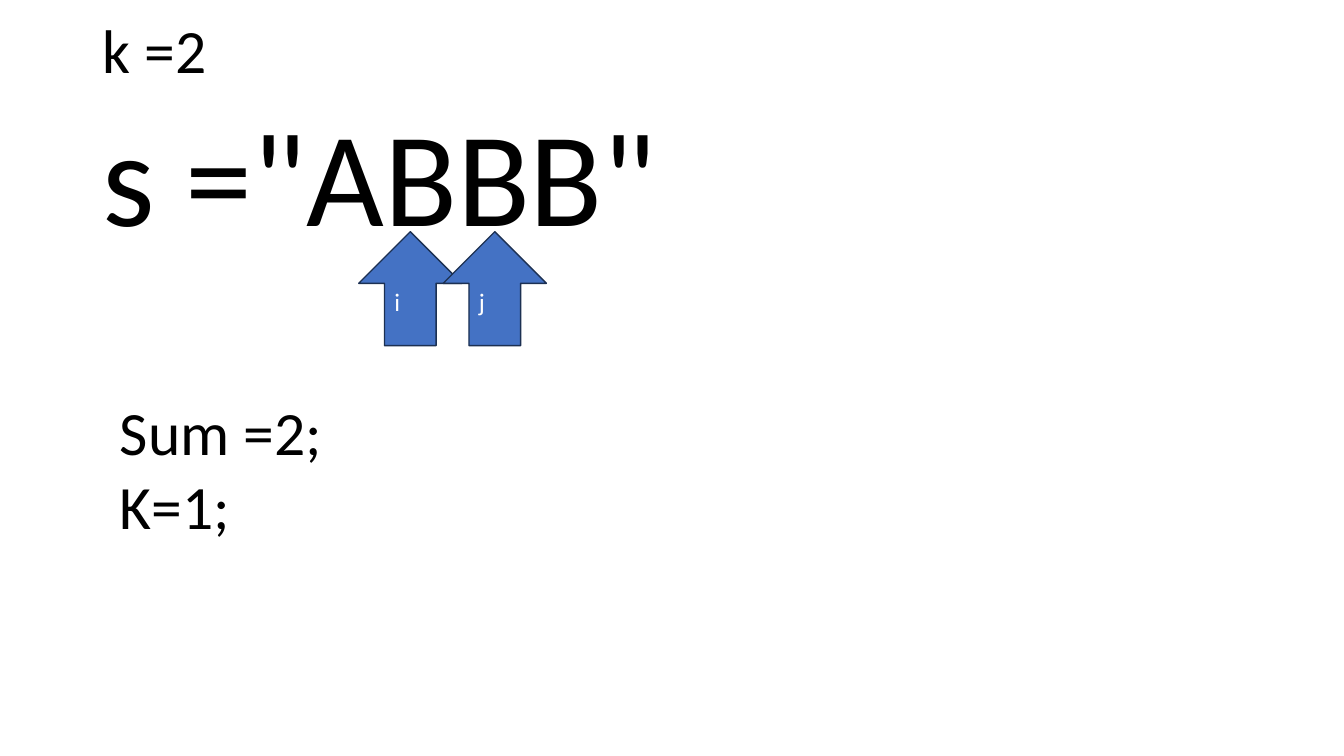
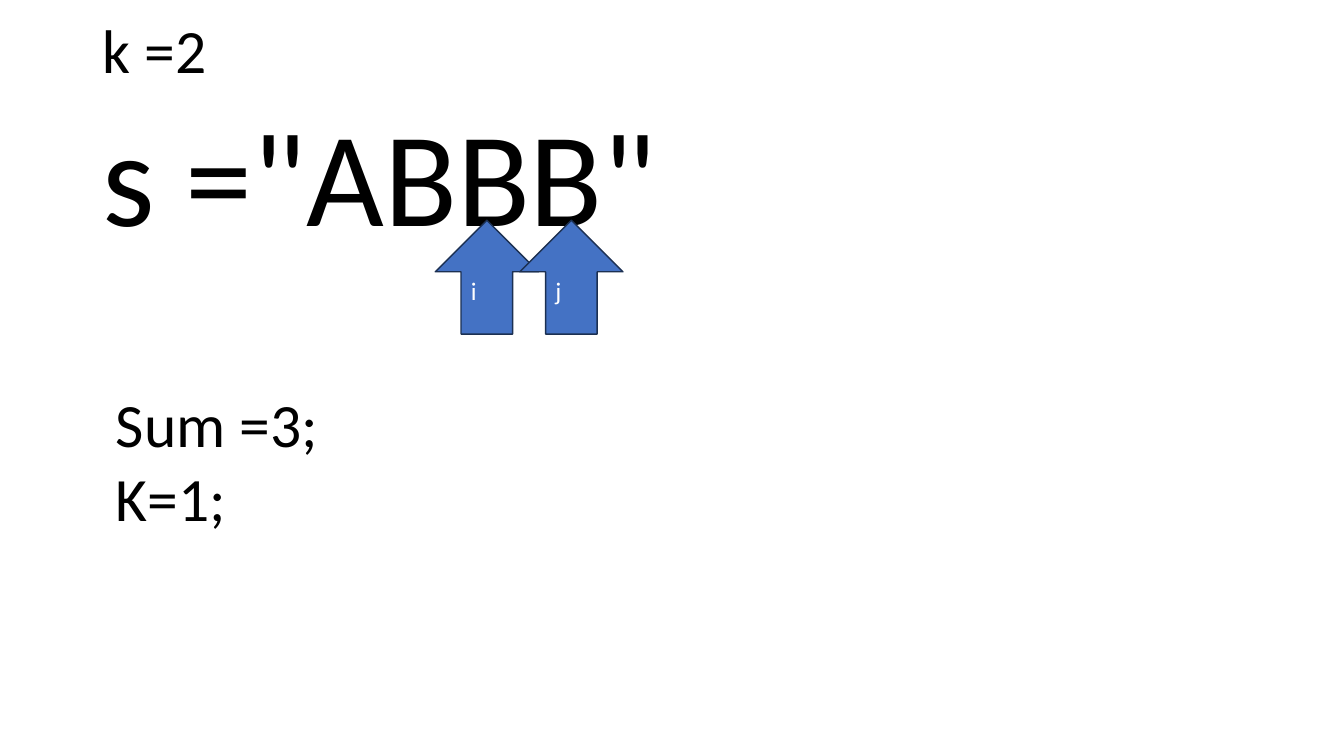
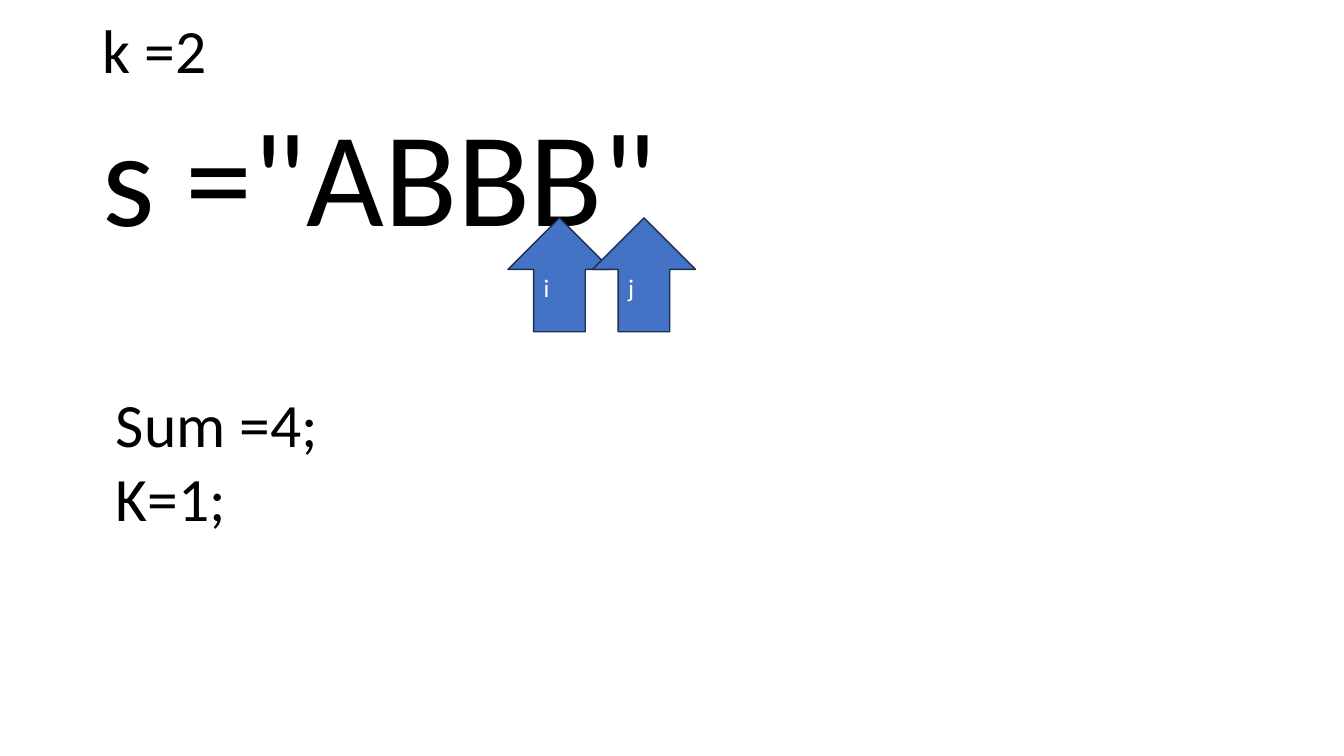
import pptx
import pptx.util
import pptx.dml.color
import pptx.enum.shapes
import pptx.enum.text

Cm = pptx.util.Cm
Pt = pptx.util.Pt
ANCHOR = pptx.enum.text.MSO_ANCHOR
FIT = pptx.enum.text.MSO_AUTO_SIZE
FONT = "Calibri"
COLORS = {"ink": "000000", "arrow": "4472C4", "edge": "1C3052", "label": "FFFFFF"}
HEAD = (2.34, 0.23, 29.21, 2.26)
WORD = (2.34, 2.67, 29.21, 4.04)
STEPS = [
    {"arrows": (9.04, 5.84), "state": (2.77, 9.8), "sum": 2},
    {"arrows": (10.97, 5.55), "state": (2.67, 9.6), "sum": 3},
    {"arrows": (12.8, 5.49), "state": (2.67, 9.6), "sum": 4},
]


def tint(name):
    return pptx.dml.color.RGBColor.from_string(COLORS[name])


def style(frame, size, color, space=None):
    for para in frame.paragraphs:
        if space:
            para.line_spacing = space
        for run in para.runs:
            run.font.name = FONT
            run.font.size = Pt(size)
            run.font.color.rgb = tint(color)


def add_text(slide, box, text, size, space=None, anchor=ANCHOR.TOP, fit=FIT.NONE):
    frame = slide.shapes.add_textbox(*map(Cm, box)).text_frame
    frame.word_wrap = True
    frame.auto_size = fit
    frame.vertical_anchor = anchor
    frame.text = text
    style(frame, size, "ink", space)


def add_arrows(slide, left, top, width=2.6, height=2.87, pitch=2.13):
    kind = pptx.enum.shapes.MSO_SHAPE.UP_ARROW
    for spot, label in enumerate("ij"):
        box = (left + spot * pitch, top, width, height)
        arrow = slide.shapes.add_shape(kind, *map(Cm, box))
        arrow.shadow.inherit = False
        arrow.fill.solid()
        arrow.fill.fore_color.rgb = tint("arrow")
        arrow.line.color.rgb = tint("edge")
        arrow.line.width = Pt(1)
        arrow.text_frame.text = label
        style(arrow.text_frame, 18, "label")


def add_state(slide, left, top, total):
    box = (left, top, 11.33, 4.01)
    add_text(slide, box, f"Sum ={total};\nK=1;", 44, fit=FIT.SHAPE_TO_FIT_TEXT)


def add_step(deck, step):
    slide = deck.slides.add_slide(deck.slide_layouts[6])
    add_text(slide, HEAD, "k =2", 44, 0.9, ANCHOR.MIDDLE)
    add_text(slide, WORD, 's ="ABBB"', 96, 0.9)
    add_arrows(slide, *step["arrows"])
    add_state(slide, *step["state"], step["sum"])


def main():
    deck = pptx.Presentation()
    deck.slide_width = Cm(33.87)
    deck.slide_height = Cm(19.05)
    for step in STEPS:
        add_step(deck, step)
    deck.save("out.pptx")


if __name__ == "__main__":
    main()
